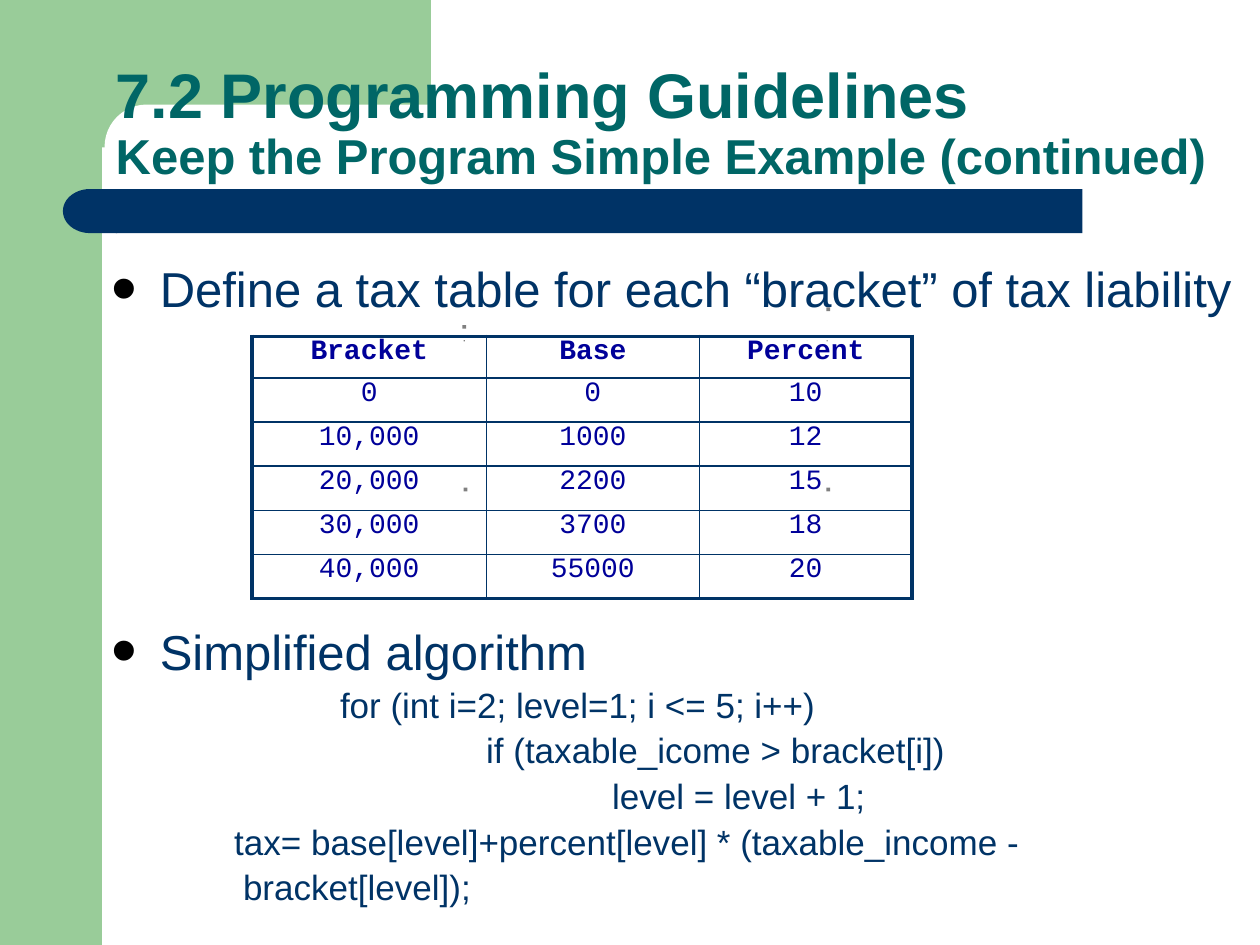
from lxml.etree import SubElement
from pptx import Presentation
from pptx.dml.color import RGBColor
from pptx.enum.shapes import MSO_SHAPE
from pptx.enum.text import MSO_ANCHOR, PP_ALIGN
from pptx.oxml.ns import qn
from pptx.util import Inches, Pt

GREEN, NAVY, TEAL, BLUE, GRAY = "99CC99", "003366", "006666", "000099", "808080"
TITLE = [("7.2 Programming Guidelines", 36), ("Keep the Program Simple Example (continued)", 28)]
TABLE_BULLET = "Define a tax table for each “bracket” of tax liability"
ALGORITHM_BULLET = "Simplified algorithm"
CODE = [
    ("for (int i=2; level=1; i <= 5; i++)", 1.81),
    ("if (taxable_icome > bracket[i])", 2.97),
    ("level = level + 1;", 3.97),
    ("tax= base[level]+percent[level] * (taxable_income -", 0.97),
    ("bracket[level]);", 1.04),
]
TAX_ROWS = [
    ("Bracket", "Base", "Percent"),
    ("0", "0", "10"),
    ("10,000", "1000", "12"),
    ("20,000", "2200", "15"),
    ("30,000", "3700", "18"),
    ("40,000", "55000", "20"),
]
COLUMN_WIDTHS = (1.86, 1.69, 1.69)
ROW_HEIGHTS = (0.33,) + (0.35,) * 5
BACKDROP = [
    (MSO_SHAPE.RECTANGLE, (0, 0, 0.81, 7.5), GREEN),
    (MSO_SHAPE.RECTANGLE, (0.73, 0, 2.69, 1.17), GREEN),
    (MSO_SHAPE.ROUNDED_RECTANGLE, (0.83, 0.83, 5.58, 0.67), "FFFFFF"),
    (MSO_SHAPE.RECTANGLE, (0.92, 1.5, 7.67, 0.35), NAVY),
    (MSO_SHAPE.FLOWCHART_DELAY, (0.5, 1.5, 0.43, 0.35), NAVY),
]
DOTS = [(3.67, 2.58, 0.03), (6.56, 2.44, 0.03), (3.68, 2.7, 0.01),
        (6.56, 2.7, 0.01), (3.68, 3.87, 0.03), (6.56, 3.87, 0.03)]


def color(value):
    return RGBColor.from_string(value)


def add_block(slide, kind, box, fill):
    shape = slide.shapes.add_shape(kind, *map(Inches, box))
    shape.shadow.inherit = False
    shape.fill.solid()
    shape.fill.fore_color.rgb = color(fill)
    shape.line.fill.background()
    return shape


def add_text_frame(slide, box):
    frame = slide.shapes.add_textbox(*map(Inches, box)).text_frame
    frame.word_wrap = True
    return frame


def style(run, size, ink, bold=False, font="Arial"):
    run.font.name, run.font.size, run.font.bold = font, Pt(size), bold
    run.font.color.rgb = color(ink)


def indent(paragraph, left, first=0):
    properties = paragraph._p.get_or_add_pPr()
    properties.set("marL", str(Inches(left)))
    properties.set("indent", str(Inches(first)))
    return properties


def write_bullet(paragraph, text):
    paragraph.text = text
    style(paragraph.runs[0], 28, NAVY)
    properties = indent(paragraph, 0.38, -0.38)
    bullet_color = SubElement(properties, qn("a:buClr"))
    SubElement(bullet_color, qn("a:srgbClr"), val="000000")
    SubElement(properties, qn("a:buSzPct"), val="150000")
    SubElement(properties, qn("a:buFont"), typeface="Arial")
    SubElement(properties, qn("a:buChar"), char="•")


def set_borders(cell, widths):
    properties = cell._tc.get_or_add_tcPr()
    for position, (side, width) in enumerate(zip("LRTB", widths)):
        line = SubElement(properties, qn(f"a:ln{side}"), w=str(Pt(width)))
        fill = SubElement(line, qn("a:solidFill"))
        SubElement(fill, qn("a:srgbClr"), val=NAVY)
        properties.remove(line)
        properties.insert(position, line)


def add_tax_table(slide):
    box = (2, 2.67, sum(COLUMN_WIDTHS), sum(ROW_HEIGHTS))
    table = slide.shapes.add_table(len(TAX_ROWS), len(COLUMN_WIDTHS), *map(Inches, box)).table
    table.horz_banding = table.first_row = False
    for column, width in zip(table.columns, COLUMN_WIDTHS):
        column.width = Inches(width)
    last_row, last_column = len(TAX_ROWS) - 1, len(COLUMN_WIDTHS) - 1
    for row, (values, height) in enumerate(zip(TAX_ROWS, ROW_HEIGHTS)):
        table.rows[row].height = Inches(height)
        for column, value in enumerate(values):
            cell = table.cell(row, column)
            cell.margin_left = cell.margin_right = cell.margin_top = cell.margin_bottom = 0
            cell.fill.background()
            paragraph = cell.text_frame.paragraphs[0]
            paragraph.text = value
            paragraph.alignment = PP_ALIGN.CENTER
            style(paragraph.runs[0], 16, BLUE, row == 0, "Courier New")
            outer = (column == 0, column == last_column, row == 0, row == last_row)
            set_borders(cell, [2.25 if edge else 1 for edge in outer])


def main():
    """Build the tax table slide."""
    presentation = Presentation()
    presentation.slide_width, presentation.slide_height = Inches(10), Inches(7.5)
    slide = presentation.slides.add_slide(presentation.slide_layouts[6])

    for kind, box, fill in BACKDROP:
        shape = add_block(slide, kind, box, fill)
        if kind == MSO_SHAPE.ROUNDED_RECTANGLE:
            shape.adjustments[0] = 0.5
        elif kind == MSO_SHAPE.FLOWCHART_DELAY:
            shape._element.spPr.find(qn("a:xfrm")).set("flipH", "1")

    title = add_text_frame(slide, (0.82, 0.28, 8.99, 1.24))
    title.vertical_anchor = MSO_ANCHOR.BOTTOM
    heading = title.paragraphs[0]
    heading.line_spacing = 0.9
    for position, (text, size) in enumerate(TITLE):
        if position:
            heading.add_line_break()
        run = heading.add_run()
        run.text = text
        style(run, size, TEAL, True)

    table_note = add_text_frame(slide, (0.79, 2, 9.25, 0.55))
    write_bullet(table_note.paragraphs[0], TABLE_BULLET)
    algorithm = add_text_frame(slide, (0.79, 4.88, 9.25, 2.4))
    write_bullet(algorithm.paragraphs[0], ALGORITHM_BULLET)
    for text, left in CODE:
        paragraph = algorithm.add_paragraph()
        paragraph.text = text
        paragraph.space_before = Pt(2)
        indent(paragraph, left)
        style(paragraph.runs[0], 20, NAVY)

    add_tax_table(slide)
    for left, top, size in DOTS:
        add_block(slide, MSO_SHAPE.RECTANGLE, (left, top, size, size), GRAY)
    presentation.save("out.pptx")


main()
